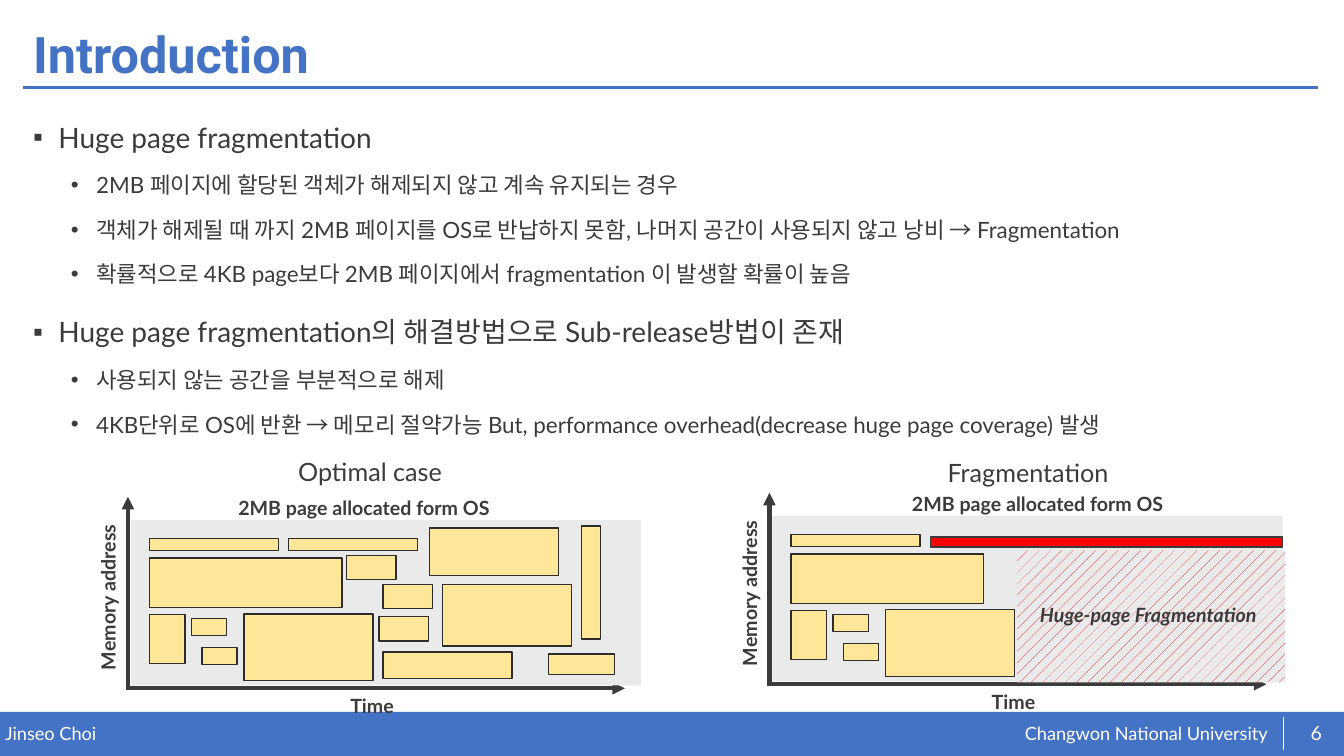
from dataclasses import dataclass

from lxml.etree import SubElement
from pptx import Presentation
from pptx.dml.color import RGBColor
from pptx.enum.dml import MSO_PATTERN
from pptx.enum.shapes import MSO_CONNECTOR, MSO_SHAPE
from pptx.enum.text import MSO_ANCHOR, PP_ALIGN
from pptx.oxml.ns import qn
from pptx.util import Pt

COLORS = {"blue": "4472C4", "white": "FFFFFF", "ink": "3B3B3B", "edge": "2C2C2C",
          "memory": "EAEAEA", "object": "FFE699", "red": "FF0000"}


@dataclass(frozen=True)
class Area:
    left: float
    top: float
    width: float
    height: float

    def lengths(self) -> tuple:
        return Pt(self.left), Pt(self.top), Pt(self.width), Pt(self.height)

    def shifted(self, x: float, y: float) -> "Area":
        return Area(self.left + x, self.top + y, self.width, self.height)


@dataclass(frozen=True)
class Style:
    size: float
    color: str = "ink"
    bold: bool = False
    italic: bool = False
    font: str = "Lato"


@dataclass(frozen=True)
class Bullet:
    mark: str
    indent: float
    before: float
    size: float
    level: int


@dataclass(frozen=True)
class MemoryChart:
    title: str
    left: float
    top: float
    title_area: Area
    caption_left: float
    objects: list[Area]


LABEL = Style(14, bold=True)
FOOTER = Style(13, "white")
TOPIC = Bullet("▪", 18, 10, 20, 0)
DETAIL = Bullet("•", 45, 5, 16, 1)

BODY = [
    (TOPIC, "Huge page fragmentation"),
    (DETAIL, "2MB 페이지에 할당된 객체가 해제되지 않고 계속 유지되는 경우"),
    (DETAIL, "객체가 해제될 때 까지 2MB 페이지를 OS로 반납하지 못함, "
             "나머지 공간이 사용되지 않고 낭비 → Fragmentation"),
    (DETAIL, "확률적으로 4KB page보다 2MB 페이지에서 fragmentation 이 발생할 확률이 높음"),
    (TOPIC, "Huge page fragmentation의 해결방법으로 Sub-release방법이 존재"),
    (DETAIL, "사용되지 않는 공간을 부분적으로 해제"),
    (DETAIL, "4KB단위로 OS에 반환 → 메모리 절약가능 But, "
             "performance overhead(decrease huge page coverage) 발생"),
]

# Allocated objects, measured from the corner of the memory area
SHARED = [Area(13.3, 27, 137.5, 35.3), Area(13.3, 67.3, 25.2, 35.3),
          Area(43.2, 70.3, 25.2, 12.2), Area(50.6, 91.1, 25.2, 12.2),
          Area(80.6, 67, 92.2, 47.5), Area(13.3, 13.3, 92.2, 8.6)]
OPTIMAL_ONLY = [Area(112.3, 13.3, 92.2, 8.6), Area(154.1, 25.2, 35.3, 17.3),
                Area(180, 46.1, 35.3, 17.3), Area(177.1, 69.1, 35.3, 17.3),
                Area(180, 94.3, 92.2, 18.7), Area(222.5, 46.1, 92.2, 43.9),
                Area(213.1, 5.8, 92.2, 33.8), Area(321.8, 4.3, 13.7, 80.6),
                Area(298.1, 95.8, 47.5, 14.4)]
OPTIMAL = MemoryChart("Optimal case", 93.6, 371.5, Area(112.3, -49, 122, 29), 69.5,
                      SHARED + OPTIMAL_ONLY)
FRAGMENTED = MemoryChart("Fragmentation", 551.8, 368.6, Area(118, -45.4, 136, 29), 92.5,
                         SHARED)


def rgb(name: str) -> RGBColor:
    return RGBColor.from_string(COLORS[name])


def add_span(para, text: str, style: Style) -> None:
    span = para.add_run()
    span.text = text
    font = span.font
    font.name, font.size = style.font, Pt(style.size)
    font.bold, font.italic = style.bold, style.italic
    font.color.rgb = rgb(style.color)


def add_box(page, area: Area, wrap: bool = True, inset: bool = True):
    box = page.shapes.add_textbox(*area.lengths())
    frame = box.text_frame
    frame.word_wrap = wrap
    if not inset:
        frame.margin_left = frame.margin_right = Pt(0)
        frame.margin_top = frame.margin_bottom = Pt(0)
    return box


def add_label(page, area: Area, text: str, style: Style, wrap: bool = True, inset: bool = True):
    box = add_box(page, area, wrap, inset)
    add_span(box.text_frame.paragraphs[0], text, style)
    return box


def add_block(page, area: Area, fill: str, edge: str | None = None):
    block = page.shapes.add_shape(MSO_SHAPE.RECTANGLE, *area.lengths())
    block.shadow.inherit = False
    block.fill.solid()
    block.fill.fore_color.rgb = rgb(fill)
    if edge:
        block.line.color.rgb = rgb(edge)
        block.line.width = Pt(1)
    else:
        block.line.fill.background()
    return block


def add_line(page, start: tuple, end: tuple, color: str, width: float, arrow: bool = False) -> None:
    line = page.shapes.add_connector(MSO_CONNECTOR.STRAIGHT, *map(Pt, start + end))
    line.line.color.rgb = rgb(color)
    line.line.width = Pt(width)
    if arrow:
        SubElement(line.line._get_or_add_ln(), qn("a:tailEnd"), type="triangle")
    SubElement(line._element.spPr, qn("a:effectLst"))


def add_body(page) -> None:
    frame = add_box(page, Area(16.6, 72.7, 926, 405)).text_frame
    for index, (bullet, text) in enumerate(BODY):
        para = frame.paragraphs[0] if index == 0 else frame.add_paragraph()
        para.level = bullet.level
        para.line_spacing = 1.4
        if index:
            para.space_before = Pt(bullet.before)
        properties = para._p.get_or_add_pPr()
        properties.set("marL", str(Pt(bullet.indent)))
        properties.set("indent", str(-Pt(18)))
        SubElement(properties, qn("a:buFont"), typeface="Arial")
        SubElement(properties, qn("a:buChar"), char=bullet.mark)
        add_span(para, text, Style(bullet.size))


def add_memory_chart(page, chart: MemoryChart) -> None:
    x, y = chart.left, chart.top
    # Axes and memory area
    add_line(page, (x - 3.6, y + 120.2), (x + 352.8, y + 120.2), "ink", 3, arrow=True)
    add_line(page, (x - 2.2, y + 120.2), (x - 2.2, y - 16.6), "ink", 3, arrow=True)
    add_block(page, Area(x, y, 364.3, 118), "memory")
    # Labels
    add_label(page, chart.title_area.shifted(x, y), chart.title, Style(18), wrap=False)
    add_label(page, Area(x + chart.caption_left, y - 20.5, 275, 24.5),
              "2MB page allocated form OS", LABEL)
    add_label(page, Area(x + 149.5, y + 120.4, 317.5, 24.5), "Time", LABEL)
    address = add_label(page, Area(x - 28.6, y - 78, 31.7, 192.2), "Memory address", LABEL)
    address.rotation = 180
    address.text_frame._txBody.bodyPr.set("vert", "eaVert")
    # Objects
    for area in chart.objects:
        add_block(page, area.shifted(x, y), "object", "edge")


def add_wasted_space(page, chart: MemoryChart) -> None:
    x, y = chart.left, chart.top
    add_block(page, Area(x + 113, y + 15.1, 251.3, 7.2), "red", "ink")
    wasted = add_block(page, Area(x + 174.7, y + 24.5, 191.5, 94.3), "memory")
    wasted.fill.patterned()
    wasted.fill.pattern = MSO_PATTERN.PERCENT_10
    wasted.fill.fore_color.rgb = rgb("red")
    wasted.fill.back_color.rgb = rgb("memory")
    add_label(page, Area(x + 184, y + 58.4, 225.4, 24.5), "Huge-page Fragmentation",
              Style(14, bold=True, italic=True))


def main() -> None:
    deck = Presentation()
    deck.slide_width, deck.slide_height = Pt(960), Pt(540)
    page = deck.slides.add_slide(deck.slide_layouts[6])

    # Footer
    add_block(page, Area(0, 508.5, 960, 31.5), "blue")
    add_label(page, Area(732, 515.7, 192.5, 16), "Changwon National University", FOOTER, inset=False)
    add_label(page, Area(3.6, 516.2, 471.6, 16), "Jinseo Choi", FOOTER, inset=False)
    add_line(page, (916.6, 512), (916.6, 535.7), "white", 0.5)
    number = add_label(page, Area(923, 509, 34.6, 28.8), "6", Style(14, "white"), inset=False)
    number.text_frame.vertical_anchor = MSO_ANCHOR.MIDDLE
    number.text_frame.paragraphs[0].alignment = PP_ALIGN.CENTER

    # Title and text
    add_line(page, (16.6, 62.6), (941.8, 62.6), "blue", 2)
    title = add_label(page, Area(16.6, 13, 926, 55.4), "Introduction",
                      Style(36, "blue", bold=True, font="Roboto"))
    title.text_frame.vertical_anchor = MSO_ANCHOR.MIDDLE
    title.text_frame.paragraphs[0].line_spacing = 0.9
    add_body(page)

    # Memory charts
    for chart in (OPTIMAL, FRAGMENTED):
        add_memory_chart(page, chart)
    add_wasted_space(page, FRAGMENTED)

    deck.save("out.pptx")


if __name__ == "__main__":
    main()
